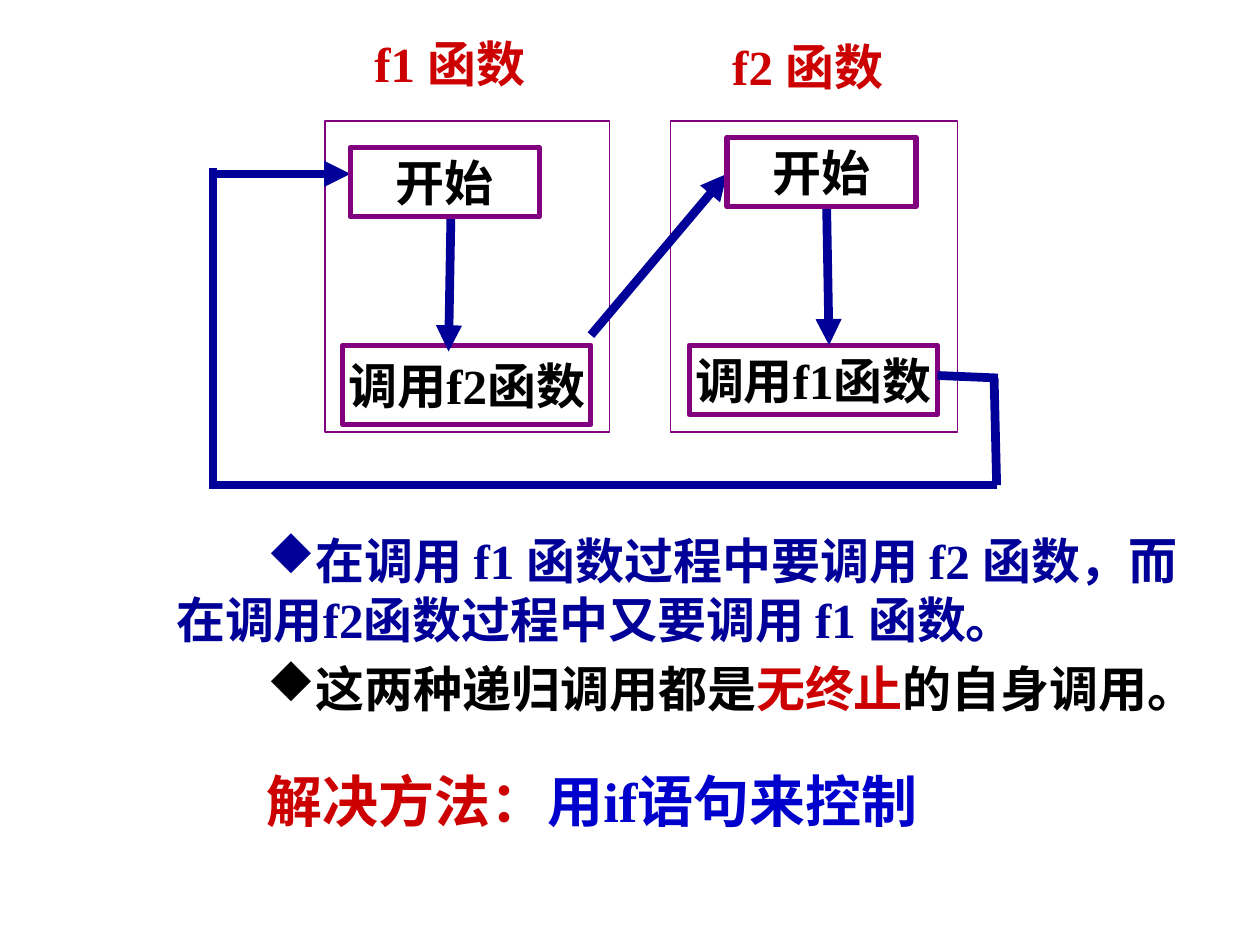
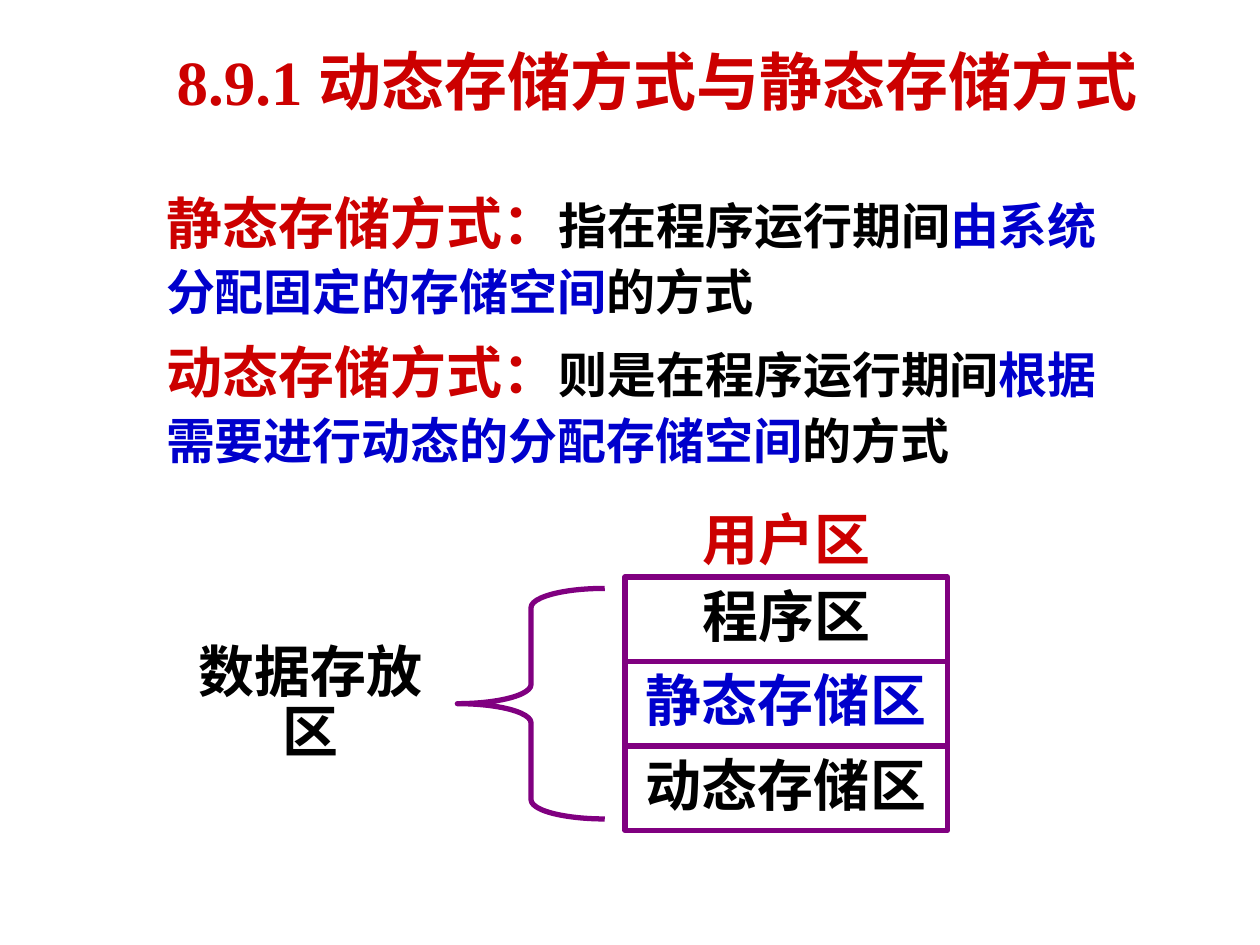
from dataclasses import dataclass

from lxml import etree
from pptx import Presentation
from pptx.dml.color import RGBColor
from pptx.enum.shapes import MSO_CONNECTOR, MSO_SHAPE
from pptx.enum.text import MSO_ANCHOR, PP_ALIGN
from pptx.oxml.ns import qn
from pptx.util import Emu, Pt

PX = 9144  # EMU in one px, 100 px to the inch
LATIN, CJK = "Times New Roman", "Noto Sans CJK SC"
BLACK, WHITE, RED = "000000", "FFFFFF", "CC0000"
BLUE, NAVY, PURPLE = "0000CC", "000099", "800080"
RECT, BRACE = MSO_SHAPE.RECTANGLE, MSO_SHAPE.LEFT_BRACE
STRAIGHT = MSO_CONNECTOR.STRAIGHT
CENTER, LEFT = PP_ALIGN.CENTER, PP_ALIGN.LEFT
MIDDLE, TOP = MSO_ANCHOR.MIDDLE, MSO_ANCHOR.TOP


@dataclass(frozen=True)
class Area:
    left: int
    top: int
    width: int
    height: int

    def emu(self) -> list[Emu]:
        return [px(n) for n in (self.left, self.top, self.width, self.height)]


@dataclass(frozen=True)
class Span:
    text: str
    size: int = 28
    color: str = BLACK
    font: str = LATIN


@dataclass(frozen=True)
class Para:
    spans: list[Span]
    before: int = 0
    spacing: float = 1.0
    indent: int = 0
    bullet: bool = False
    align: PP_ALIGN = LEFT


@dataclass(frozen=True)
class Line:
    start: tuple[int, int]
    end: tuple[int, int]
    arrow: bool = False


@dataclass(frozen=True)
class FunctionPanel:
    heading: str
    call: str
    heading_area: Area
    frame: Area
    start_area: Area
    call_area: Area


PANELS = [
    FunctionPanel("f1 函数", "调用f2函数", Area(261, 22, 192, 62), Area(258, 96, 226, 247),
                  Area(278, 117, 150, 55), Area(272, 274, 197, 63)),
    FunctionPanel("f2 函数", "调用f1函数", Area(545, 24, 192, 62), Area(532, 96, 228, 247),
                  Area(577, 109, 150, 55), Area(547, 274, 197, 55)),
]
CALL_FLOW = [
    Line((358, 164), (356, 279), True),
    Line((469, 266), (577, 138), True),
    Line((656, 160), (658, 274), True),
    Line((792, 300), (744, 298)),
    Line((789, 300), (791, 385)),
    Line((791, 385), (166, 385)),
    Line((169, 384), (169, 133)),
    Line((167, 138), (278, 138), True),
]
RECURSION_NOTES = [
    Para([Span("在调用 f1 函数过程中要调用 f2 函数，而在调用f2函数过程中又要调用 f1 函数。", color=NAVY)],
         indent=72, bullet=True),
    Para([Span("这两种递归调用都是"), Span("无终止", color=RED), Span("的自身调用。")],
         before=6, indent=72, bullet=True),
    Para([Span("解决方法：", 32, RED), Span("用if语句来控制", 32, BLUE)], before=28, indent=72),
]
STORAGE_TERMS = [
    ("静态存储方式：", "指在程序运行期间", "由系统分配固定的存储空间"),
    ("动态存储方式：", "则是在程序运行期间", "根据需要进行动态的分配存储空间"),
]
MEMORY_ZONES = [("程序区", BLACK), ("静态存储区", BLUE), ("动态存储区", BLACK)]
ZONE_HEIGHT = 67


def px(length: int) -> Emu:
    return Emu(length * PX)


def rgb(value: str) -> RGBColor:
    return RGBColor.from_string(value)


def add_bullet(paragraph) -> None:
    """Put a diamond before the paragraph."""
    properties = paragraph._p.get_or_add_pPr()
    etree.SubElement(properties, qn("a:buFont")).set("typeface", "Wingdings")
    etree.SubElement(properties, qn("a:buChar")).set("char", "u")


def write(shape, paras: list[Para], anchor=TOP, wrap: bool = True) -> None:
    frame = shape.text_frame
    frame.word_wrap = wrap
    frame.vertical_anchor = anchor
    for index, para in enumerate(paras):
        paragraph = frame.add_paragraph() if index else frame.paragraphs[0]
        paragraph.alignment = para.align
        paragraph.line_spacing = para.spacing
        if para.before:
            paragraph.space_before = Pt(para.before)
        if para.indent:
            paragraph._p.get_or_add_pPr().set("indent", str(px(para.indent)))
        if para.bullet:
            add_bullet(paragraph)
        for span in para.spans:
            run = paragraph.add_run()
            run.text = span.text
            run.font.size = Pt(span.size)
            run.font.bold = True
            run.font.color.rgb = rgb(span.color)
            run.font.name = span.font
            etree.SubElement(run._r.get_or_add_rPr(), qn("a:ea")).set("typeface", CJK)


def add_text(page, area: Area, paras: list[Para], anchor=TOP, wrap: bool = True) -> None:
    write(page.shapes.add_textbox(*area.emu()), paras, anchor, wrap)


def add_label(page, area: Area, span: Span) -> None:
    add_text(page, area, [Para([span], spacing=0.9, align=CENTER)], MIDDLE, False)


def add_outline(page, area: Area, weight: float = 3, kind=RECT):
    """Draw a white shape with a purple line."""
    shape = page.shapes.add_shape(kind, *area.emu())
    shape.shadow.inherit = False
    shape.fill.solid()
    shape.fill.fore_color.rgb = rgb(WHITE)
    shape.line.color.rgb = rgb(PURPLE)
    shape.line.width = Pt(weight)
    return shape


def add_box(page, area: Area, span: Span, spacing: float = 1.0) -> None:
    box = add_outline(page, area)
    write(box, [Para([span], spacing=spacing, align=CENTER)], MIDDLE, False)


def add_line(page, line: Line) -> None:
    connector = page.shapes.add_connector(STRAIGHT, *map(px, line.start + line.end))
    connector.line.color.rgb = rgb(NAVY)
    connector.line.width = Pt(5)
    if line.arrow:
        etree.SubElement(connector.line._get_or_add_ln(), qn("a:tailEnd")).set("type", "triangle")
    etree.SubElement(connector._element.spPr, qn("a:effectLst"))


def build_recursion_page(page) -> None:
    add_text(page, Area(130, 416, 843, 305), RECURSION_NOTES)
    for panel in PANELS:
        add_outline(page, panel.frame, 0.75)
        add_box(page, panel.call_area, Span(panel.call))
        add_label(page, panel.heading_area, Span(panel.heading, color=RED))
    for line in CALL_FLOW:
        add_line(page, line)
    for panel in PANELS:
        add_box(page, panel.start_area, Span("开始"))


def build_storage_page(page) -> None:
    title = Span("8.9.1 动态存储方式与静态存储方式", 36, RED)
    add_text(page, Area(112, 36, 819, 55), [Para([title], align=CENTER)], MIDDLE)
    definitions = [
        Para([Span(term, 32, RED, CJK), Span(opening, font=CJK),
              Span(key, color=BLUE, font=CJK), Span("的方式", font=CJK)],
             before=6 if index else 0, spacing=1.1)
        for index, (term, opening, key) in enumerate(STORAGE_TERMS)
    ]
    add_text(page, Area(122, 139, 780, 241), definitions)
    for index, (name, color) in enumerate(MEMORY_ZONES):
        zone = Area(496, 458 + index * ZONE_HEIGHT, 256, ZONE_HEIGHT)
        add_box(page, zone, Span(name, 32, color), 0.9)
    add_label(page, Area(521, 409, 207, 42), Span("用户区", 32, RED))
    brace = add_outline(page, Area(363, 467, 117, 183), kind=BRACE)
    brace.adjustments[0] = 0.13
    add_label(page, Area(138, 534, 217, 50), Span("数据存放区", 32))


def main() -> None:
    deck = Presentation()
    deck.slide_width, deck.slide_height = px(1000), px(750)
    blank = deck.slide_layouts[6]
    for build in (build_recursion_page, build_storage_page):
        build(deck.slides.add_slide(blank))
    deck.save("out.pptx")


if __name__ == "__main__":
    main()
